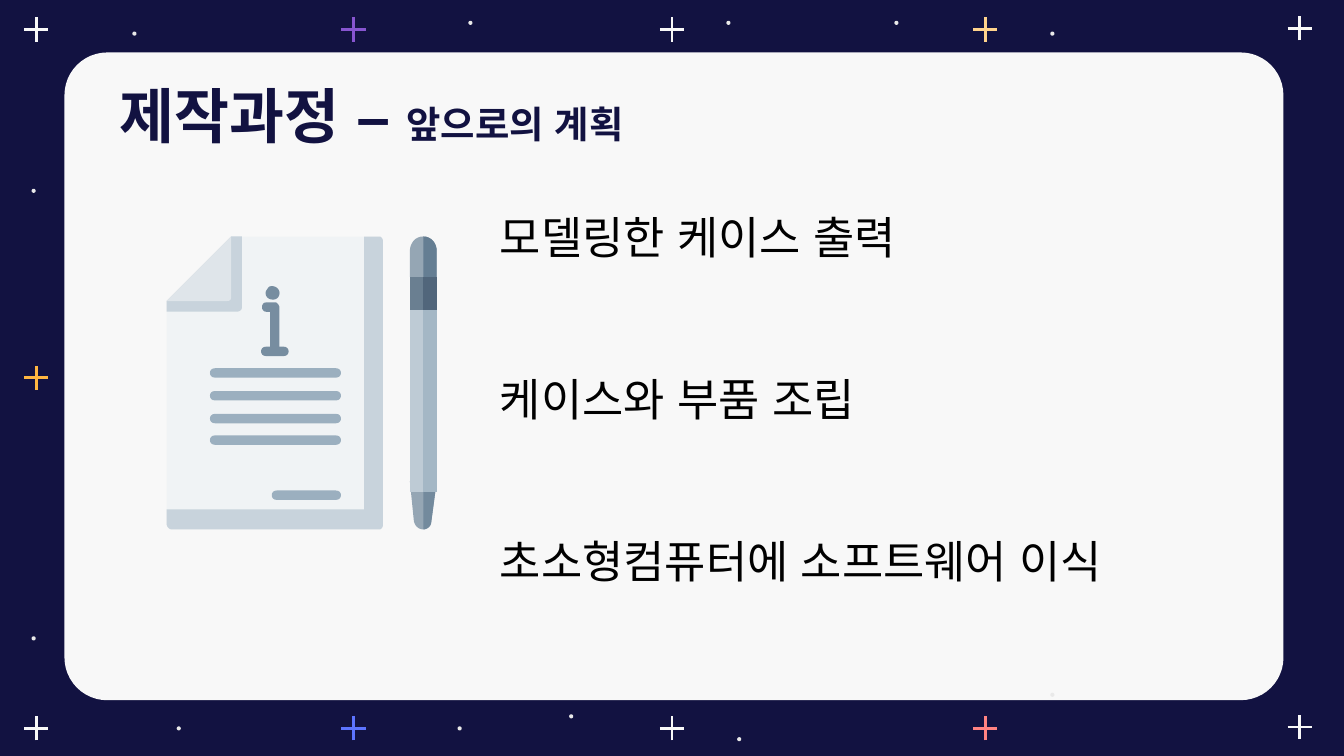
import lxml.etree
import pptx
import pptx.dml.color
import pptx.enum.shapes
import pptx.enum.text
import pptx.oxml.ns
import pptx.util

Inches = pptx.util.Inches
Pt = pptx.util.Pt

NAVY = "121241"
PAPER = "F8F8F8"
STAR = "E9E9E9"
TEXT_BAR = "9BAFBF"
INFO = "778DA0"
EDGE = "C8D3DC"

CROSSES = [
    (0.27, 0.22, PAPER), (2.63, 0.22, "8755D0"), (5, 0.22, PAPER),
    (7.33, 0.22, "FFD38C"), (9.67, 0.21, PAPER), (0.27, 2.81, "FFB641"),
    (0.27, 5.42, PAPER), (2.63, 5.42, "5D74FF"), (5, 5.42, PAPER),
    (7.33, 5.42, "FF8382"), (9.67, 5.41, PAPER),
]
STARS = [
    (0.99, 0.24), (3.49, 0.16), (5.41, 0.16), (6.66, 0.16), (7.82, 0.24),
    (0.24, 1.41), (0.24, 4.74), (1.32, 5.41), (3.41, 5.41), (4.24, 5.32),
    (5.49, 5.49), (7.82, 5.16),
]
PLANS = ["모델링한 케이스 출력", "케이스와 부품 조립", "초소형컴퓨터에 소프트웨어 이식"]

PEN_TIP = [
    ("M 3.05 3.58 L 3.08 3.88 C 3.09 3.92 3.12 3.94 3.15 3.94 "
     "C 3.18 3.94 3.21 3.92 3.21 3.88 L 3.25 3.58", "95A6B4"),
    ("M 3.15 3.58 L 3.15 3.94 C 3.18 3.94 3.21 3.91 3.21 3.88 L 3.25 3.58", "738A9D"),
]
SHEET = [
    ("M 1.72 1.76 L 1.24 2.24 L 1.24 3.9 C 1.24 3.92 1.26 3.94 1.27 3.94 L 2.82 3.94 "
     "C 2.84 3.94 2.85 3.92 2.85 3.9 L 2.85 1.8 C 2.85 1.78 2.84 1.76 2.82 1.76", "F0F3F5"),
    ("M 1.72 1.76 L 1.24 2.24 L 1.24 2.32 L 1.76 2.32 "
     "C 1.78 2.32 1.8 2.31 1.8 2.29 L 1.8 1.76", EDGE),
    ("M 2.71 1.76 L 2.71 3.79 L 1.24 3.79 L 1.24 3.9 C 1.24 3.92 1.26 3.94 1.28 3.94 "
     "L 2.82 3.94 C 2.84 3.94 2.85 3.92 2.85 3.9 L 2.85 1.8 "
     "C 2.85 1.78 2.84 1.76 2.82 1.76", EDGE),
    ("M 1.72 1.76 L 1.24 2.24 L 1.69 2.24 C 1.71 2.24 1.72 2.23 1.72 2.21", "DFE5EA"),
]
INFO_SIGN = [
    ("M 1.98 2.25 C 1.94 2.25 1.94 2.32 1.98 2.32 L 2.01 2.32 L 2.01 2.6 "
     "C 2.01 2.62 2.03 2.63 2.05 2.63 C 2.06 2.63 2.08 2.62 2.08 2.6 L 2.08 2.29 "
     "C 2.08 2.27 2.06 2.25 2.05 2.25", INFO),
    ("M 2.03 2.13 C 2.01 2.13 2 2.13 1.99 2.15 C 1.96 2.18 1.98 2.23 2.03 2.23 "
     "C 2.06 2.23 2.08 2.21 2.08 2.18 C 2.08 2.15 2.05 2.13 2.03 2.13", INFO),
]
PEN_CAP = [
    ("M 3.15 1.76 C 3.09 1.76 3.05 1.81 3.05 1.87 L 3.05 2.06 L 3.25 2.06 "
     "L 3.25 1.87 C 3.25 1.81 3.21 1.76 3.15 1.76", "95A6B4"),
    ("M 3.15 1.76 L 3.15 2.06 L 3.25 2.06 L 3.25 1.87 "
     "C 3.25 1.81 3.21 1.76 3.15 1.76", "657E93"),
]


def color(value):
    return pptx.dml.color.RGBColor.from_string(value)


def paint(shape, fill, outline=None):
    shape.shadow.inherit = False
    shape.fill.solid()
    shape.fill.fore_color.rgb = color(fill)
    if outline:
        shape.line.color.rgb = color(outline)
        shape.line.width = Pt(0.75)
    else:
        shape.line.fill.background()


def add_card(shapes):
    card = shapes.add_shape(
        pptx.enum.shapes.MSO_SHAPE.ROUNDED_RECTANGLE,
        Inches(0.48), Inches(0.39), Inches(9.07), Inches(4.82))
    card.adjustments[0] = 0.066
    paint(card, PAPER)


def add_star(shapes, left, top):
    star = shapes.add_shape(
        pptx.enum.shapes.MSO_SHAPE.OVAL,
        Inches(left), Inches(top), Inches(0.02), Inches(0.02))
    paint(star, STAR, STAR)


def add_cross(shapes, x, y, stroke):
    cross = shapes.add_group_shape().shapes
    for dx, dy in [(0, -0.09), (0.09, 0)]:
        arm = cross.add_connector(
            pptx.enum.shapes.MSO_CONNECTOR.STRAIGHT,
            Inches(x - dx), Inches(y - dy), Inches(x + dx), Inches(y + dy))
        arm.line.color.rgb = color(stroke)
        arm.line.width = Pt(1.5)
        lxml.etree.SubElement(arm.element.spPr, pptx.oxml.ns.qn("a:effectLst"))


def curve_points(start, controls, steps=8):
    p0, p1, p2, p3 = start, *controls
    for step in range(1, steps + 1):
        t = step / steps
        u = 1 - t
        yield tuple(
            u**3 * a + 3 * u**2 * t * b + 3 * u * t**2 * c + t**3 * d
            for a, b, c, d in zip(p0, p1, p2, p3))


def outline_points(outline):
    tokens = iter(outline.split())
    points = []
    for command in tokens:
        count = 3 if command == "C" else 1
        pairs = [(float(next(tokens)), float(next(tokens))) for _ in range(count)]
        points.extend(curve_points(points[-1], pairs) if command == "C" else pairs)
    return [(Inches(x), Inches(y)) for x, y in points]


def add_outline(shapes, outline, fill):
    start, *rest = outline_points(outline)
    builder = shapes.build_freeform(*start)
    builder.add_line_segments(rest, close=True)
    paint(builder.convert_to_shape(), fill)


def bar(left, top, right):
    bottom = top + 0.07
    inner_left, inner_right = left + 0.05, right - 0.05
    return (f"M {inner_left} {top} C {left} {top} {left} {bottom} {inner_left} {bottom} "
            f"L {inner_right} {bottom} "
            f"C {right} {bottom} {right} {top} {inner_right} {top}")


def band(left, top, bottom):
    return f"M {left} {top} L {left} {bottom} L 3.25 {bottom} L 3.25 {top}"


def add_document_and_pen(shapes):
    text_bars = [(bar(1.55, top, 2.55), TEXT_BAR) for top in (3.24, 3.08, 2.91, 2.74)]
    signature = [(bar(2.01, 3.65, 2.55), TEXT_BAR)]
    info_base = [(bar(1.93, 2.58, 2.16), INFO)]
    pen_body = [
        (band(3.05, 2.26, 3.66), "BECBD5"), (band(3.15, 2.26, 3.66), "A4B7C5"),
        (band(3.05, 2.06, 2.31), "6A7F91"), (band(3.15, 2.06, 2.31), "51667B"),
    ]
    drawing = shapes.add_group_shape().shapes
    for outline, fill in (PEN_TIP + SHEET + text_bars + signature
                          + INFO_SIGN + info_base + pen_body + PEN_CAP):
        add_outline(drawing, outline, fill)


def place(shape, left, top, width, height):
    shape.left, shape.top = Inches(left), Inches(top)
    shape.width, shape.height = Inches(width), Inches(height)
    shape.text_frame.word_wrap = True
    shape.text_frame.auto_size = pptx.enum.text.MSO_AUTO_SIZE.NONE


def style(paragraph, ink, bold):
    paragraph.alignment = pptx.enum.text.PP_ALIGN.LEFT
    paragraph.font.name = "Arial"
    paragraph.font.bold = bold
    paragraph.font.color.rgb = color(ink)
    defaults = paragraph._p.pPr.find(pptx.oxml.ns.qn("a:defRPr"))
    lxml.etree.SubElement(defaults, pptx.oxml.ns.qn("a:ea"), typeface="Arial")


def fill_title(title):
    place(title, 0.79, 0.59, 6.44, 0.52)
    frame = title.text_frame
    frame.vertical_anchor = pptx.enum.text.MSO_ANCHOR.MIDDLE
    frame.margin_left = frame.margin_right = Inches(0.1)
    frame.margin_top = frame.margin_bottom = Inches(0.1)
    heading = frame.paragraphs[0]
    style(heading, NAVY, True)
    for words, size in [("제작과정 – ", 32), ("앞으로의 계획", 20)]:
        run = heading.add_run()
        run.text = words
        run.font.size = Pt(size)


def fill_plans(body):
    place(body, 3.62, 1.51, 5.46, 2.93)
    frame = body.text_frame
    frame.vertical_anchor = pptx.enum.text.MSO_ANCHOR.TOP
    frame.text = "\n".join(PLANS)
    for index, plan in enumerate(frame.paragraphs):
        plan.space_before = Pt(58 if index else 0)
        properties = plan._p.get_or_add_pPr()
        properties.set("marL", "0")
        properties.set("indent", "0")
        lxml.etree.SubElement(properties, pptx.oxml.ns.qn("a:buNone"))
        style(plan, "000000", False)
        plan.font.size = Pt(24)


def main():
    deck = pptx.Presentation()
    deck.slide_width, deck.slide_height = Inches(10), Inches(5.625)
    slide = deck.slides.add_slide(deck.slide_layouts[1])
    slide.background.fill.solid()
    slide.background.fill.fore_color.rgb = color(NAVY)
    shapes = slide.shapes
    title, plans = shapes.title, slide.placeholders[1]
    add_card(shapes)
    for cross in CROSSES:
        add_cross(shapes, *cross)
    for star in STARS:
        add_star(shapes, *star)
    fill_title(title)
    fill_plans(plans)
    for placeholder in (title, plans):
        shapes.element.append(placeholder.element)
    add_document_and_pen(shapes)
    deck.save("out.pptx")


if __name__ == "__main__":
    main()
